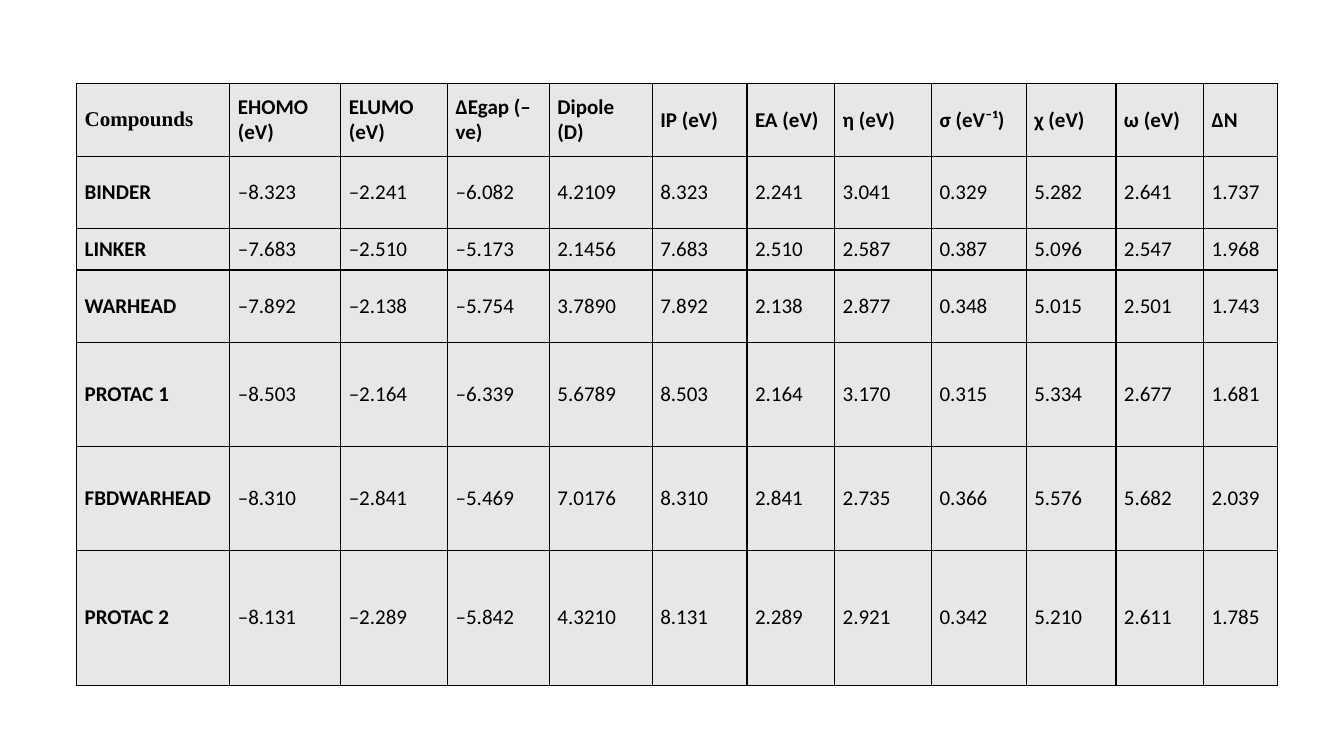
import pptx
import pptx.dml.color
import pptx.enum.text
import pptx.oxml
import pptx.oxml.ns
import pptx.util
from pptx.util import Inches

# Content
HEADERS = ["Compounds", "EHOMO (eV)", "ELUMO (eV)", "ΔEgap (–ve)", "Dipole (D)", "IP (eV)",
           "EA (eV)", "η (eV)", "σ (eV⁻¹)", "χ (eV)", "ω (eV)", "ΔN"]
COMPOUNDS = [
    ["BINDER", "–8.323", "–2.241", "–6.082", "4.2109", "8.323",
     "2.241", "3.041", "0.329", "5.282", "2.641", "1.737"],
    ["LINKER", "–7.683", "–2.510", "–5.173", "2.1456", "7.683",
     "2.510", "2.587", "0.387", "5.096", "2.547", "1.968"],
    ["WARHEAD", "–7.892", "–2.138", "–5.754", "3.7890", "7.892",
     "2.138", "2.877", "0.348", "5.015", "2.501", "1.743"],
    ["PROTAC 1", "–8.503", "–2.164", "–6.339", "5.6789", "8.503",
     "2.164", "3.170", "0.315", "5.334", "2.677", "1.681"],
    ["FBDWARHEAD", "–8.310", "–2.841", "–5.469", "7.0176", "8.310",
     "2.841", "2.735", "0.366", "5.576", "5.682", "2.039"],
    ["PROTAC 2", "–8.131", "–2.289", "–5.842", "4.3210", "8.131",
     "2.289", "2.921", "0.342", "5.210", "2.611", "1.785"],
]
ROWS = [HEADERS] + COMPOUNDS

# Layout and style
LEFT, TOP = 0.76, 0.83
COLUMN_WIDTHS = [1.52, 1.1, 1.06, 1.01, 1.02, 0.94, 0.87, 0.96, 0.94, 0.89, 0.87, 0.73]
ROW_HEIGHTS = [0.72, 0.72, 0.41, 0.72, 1.03, 1.03, 1.34]
COLORS = {"cell": "E7E7E7", "text": "000000", "border": "000000"}


def color(name):
    return pptx.dml.color.RGBColor.from_string(COLORS[name])


def add_borders(cell):
    properties = cell._tc.get_or_add_tcPr()
    for side in ("lnL", "lnR", "lnT", "lnB"):
        properties.append(pptx.oxml.parse_xml(
            f'<a:{side} {pptx.oxml.ns.nsdecls("a")} w="{pptx.util.Pt(1)}"><a:solidFill>'
            f'<a:srgbClr val="{COLORS["border"]}"/></a:solidFill></a:{side}>'))


def fill_cell(cell, text, bold, font_name):
    add_borders(cell)
    cell.fill.solid()
    cell.fill.fore_color.rgb = color("cell")
    cell.vertical_anchor = pptx.enum.text.MSO_ANCHOR.MIDDLE
    cell.margin_left = cell.margin_right = Inches(0.08)
    cell.margin_top = cell.margin_bottom = Inches(0.04)
    cell.text = text
    font = cell.text_frame.paragraphs[0].font
    font.name = font_name
    font.size = pptx.util.Pt(15)
    font.bold = bold
    font.color.rgb = color("text")


def main():
    presentation = pptx.Presentation()
    presentation.slide_width = Inches(13.33)
    presentation.slide_height = Inches(7.5)
    slide = presentation.slides.add_slide(presentation.slide_layouts[6])

    # Table grid
    table = slide.shapes.add_table(
        len(ROWS), len(HEADERS), Inches(LEFT), Inches(TOP),
        Inches(sum(COLUMN_WIDTHS)), Inches(sum(ROW_HEIGHTS))).table
    table.horz_banding = False
    for column, width in zip(table.columns, COLUMN_WIDTHS):
        column.width = Inches(width)
    for row, height in zip(table.rows, ROW_HEIGHTS):
        row.height = Inches(height)

    # Cells: bold header row and compound names
    for row_index, values in enumerate(ROWS):
        for column_index, text in enumerate(values):
            bold = row_index == 0 or column_index == 0
            font_name = "Times New Roman" if row_index == column_index == 0 else "Calibri"
            fill_cell(table.cell(row_index, column_index), text, bold, font_name)

    presentation.save("out.pptx")


if __name__ == "__main__":
    main()
